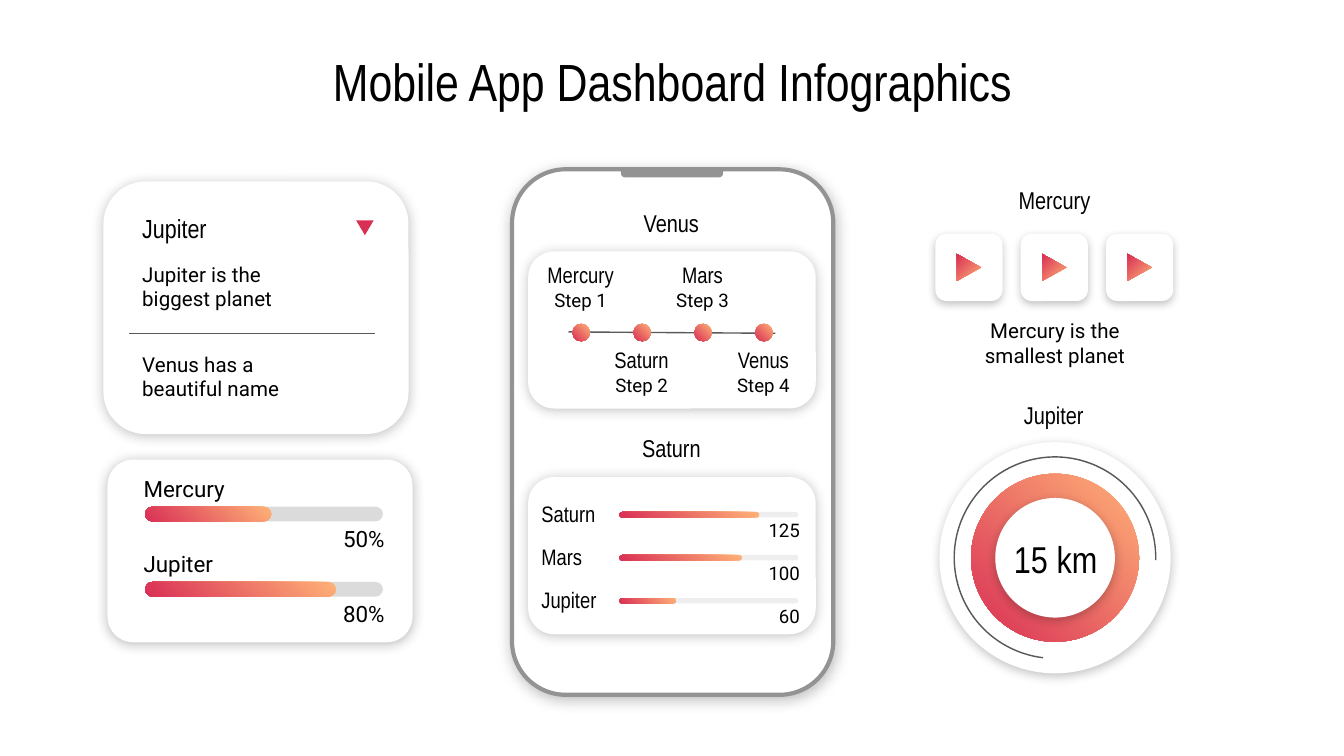
from lxml import etree
from pptx import Presentation
from pptx.dml.color import RGBColor
from pptx.enum.shapes import MSO_CONNECTOR, MSO_SHAPE
from pptx.enum.text import MSO_ANCHOR, MSO_AUTO_SIZE, PP_ALIGN
from pptx.oxml import parse_xml
from pptx.oxml.ns import qn
from pptx.util import Inches, Pt

ROUND, OVAL = MSO_SHAPE.ROUNDED_RECTANGLE, MSO_SHAPE.OVAL
WEDGE, ARC = MSO_SHAPE.ISOSCELES_TRIANGLE, MSO_SHAPE.BLOCK_ARC
NOTCH = MSO_SHAPE.ROUND_2_SAME_RECTANGLE
STRAIGHT = MSO_CONNECTOR.STRAIGHT
LEFT, MID, RIGHT = PP_ALIGN.LEFT, PP_ALIGN.CENTER, PP_ALIGN.RIGHT
TOP, MIDDLE = MSO_ANCHOR.TOP, MSO_ANCHOR.MIDDLE
NO_FIT = MSO_AUTO_SIZE.NONE

HEAD, BODY = "Arial Narrow", "Roboto"
WHITE, BLACK, GREY, DARK = "FFFFFF", "000000", "939393", "595959"
PEACH, RED = "FFB278", "D92F55"
BLEND = (PEACH, RED)
SOFT = (24, 6.8, 0.8)
SHADOW = (
    '<a:effectLst xmlns:a="http://schemas.openxmlformats.org/drawingml/2006/main">'
    '<a:outerShdw blurRad="{}" dist="{}" dir="5400000" algn="bl" rotWithShape="0">'
    '<a:srgbClr val="000000"><a:alpha val="{}"/></a:srgbClr>'
    '</a:outerShdw></a:effectLst>'
)


def color(code):
    return RGBColor.from_string(code)


def paint(fill, tone):
    """Fill with one hex colour, or with a diagonal blend of two."""
    if isinstance(tone, str):
        fill.solid()
        fill.fore_color.rgb = color(tone)
        return
    fill.gradient()
    fill.gradient_angle = 225
    for stop, code in zip(fill.gradient_stops, tone):
        stop.color.rgb = color(code)


def cast(shape, alpha, blur, drop):
    """Give the shape a shadow that falls straight down."""
    props = shape._element.spPr
    props.remove(props.find(qn("a:effectLst")))
    props.append(parse_xml(SHADOW.format(Pt(blur), Pt(drop), alpha * 1000)))


def draw(slide, kind, box, tone, adj=(), turn=0, shade=None, edge=None):
    shape = slide.shapes.add_shape(kind, *map(Inches, box))
    for i, value in enumerate(adj):
        shape.adjustments[i] = value
    shape.rotation = turn
    shape.shadow.inherit = False
    paint(shape.fill, tone)
    if edge:
        shape.line.color.rgb = color(edge)
        shape.line.width = Pt(2.25)
    else:
        shape.line.fill.background()
    if shade:
        cast(shape, *shade)


def rule(slide, x1, y1, x2, y2):
    line = slide.shapes.add_connector(STRAIGHT, *map(Inches, (x1, y1, x2, y2)))
    line.line.color.rgb = color(DARK)
    line.line.width = Pt(0.75)
    etree.SubElement(line._element.spPr, qn("a:effectLst"))


def style(frame, text, size=11, font=BODY, align=MID, anchor=MIDDLE, space=None):
    frame.word_wrap = True
    frame.auto_size = NO_FIT
    frame.vertical_anchor = anchor
    frame.margin_left = frame.margin_right = Inches(0.1)
    frame.margin_top = frame.margin_bottom = Inches(0.1)
    par = frame.paragraphs[0]
    par.alignment = align
    par.line_spacing = space
    run = par.add_run()
    run.text = text
    run.font.size = Pt(size)
    run.font.name = font
    run.font.color.rgb = color(BLACK)


def write(slide, box, text, **look):
    style(slide.shapes.add_textbox(*map(Inches, box)).text_frame, text, **look)


def bar(slide, x, y, w, h, done, track):
    draw(slide, ROUND, (x, y, w, h), track, (0.5,))
    draw(slide, ROUND, (x, y, done, h), BLEND, (0.5,))


def title(slide, x, y, w, h):
    shape = slide.shapes.title
    shape.left, shape.top, shape.width, shape.height = map(Inches, (x, y, w, h))
    style(shape.text_frame, "Mobile App Dashboard Infographics",
          size=28, font=HEAD, anchor=TOP, space=0.8)


def facts(slide, x, y, w, h):
    draw(slide, ROUND, (x, y, w, h), WHITE, (0.167,), shade=SOFT)
    draw(slide, WEDGE, (x + 1.88, y + 0.29, 0.13, 0.11), RED, turn=180)
    rule(slide, x + 0.19, y + 1.13, x + 2.02, y + 1.13)
    write(slide, (x + 0.19, y + 0.19, 1.28, 0.31), "Jupiter",
          size=14, font=HEAD, align=LEFT)
    for drop, text in ((0.54, "Jupiter is the biggest planet"),
                       (1.21, "Venus has a beautiful name")):
        write(slide, (x + 0.19, y + drop, 1.28, 0.48), text, align=LEFT)


def shares(slide, x, y, w, h):
    draw(slide, ROUND, (x, y, w, h), WHITE, (0.142,), shade=(27, 6.8, 0.8))
    rows = (("Mercury", "50%", 0.94), ("Jupiter", "80%", 1.42))
    for i, (name, share, done) in enumerate(rows):
        top = y + 0.02 + i * 0.56
        bar(slide, x + 0.28, top + 0.33, 1.77, 0.11, done, "DBDBDB")
        write(slide, (x + 0.17, top, 0.89, 0.39), name, size=12, align=LEFT)
        write(slide, (x + 1.57, top + 0.37, 0.59, 0.39), share, size=12, align=RIGHT)


def steps(slide, x, y, w, h):
    draw(slide, ROUND, (x, y, w, h), WHITE, (0.167,), shade=SOFT)
    rule(slide, x + 0.3, y + 0.6, x + 1.84, y + 0.61)
    wide = 0.78
    for i, name in enumerate(("Mercury", "Saturn", "Mars", "Venus")):
        left = x + i * (w - wide) / 3
        top = y + (0.67 if i % 2 else 0.04)
        draw(slide, OVAL, (left + 0.33, y + 0.54, 0.13, 0.13), BLEND)
        write(slide, (left, top, wide, 0.27), name, size=12, font=HEAD)
        write(slide, (left, top + 0.19, wide, 0.27), f"Step {i + 1}", size=10)


def scores(slide, x, y, w, h):
    draw(slide, ROUND, (x, y, w, h), WHITE, (0.167,), shade=SOFT)
    rows = (("Saturn", "125", 1.04), ("Mars", "100", 0.91), ("Jupiter", "60", 0.42))
    for i, (name, score, done) in enumerate(rows):
        top = y + 0.14 + i * 0.32
        bar(slide, x + 0.68, top + 0.12, 1.33, 0.04, done, "EEEEEE")
        write(slide, (x, top, 0.63, 0.27), name, size=12, font=HEAD, align=LEFT)
        write(slide, (x + 1.62, top + 0.12, 0.5, 0.27), score, size=10, align=RIGHT)


def phone(slide, x, y, w, h):
    draw(slide, ROUND, (x, y, w, h), WHITE, (0.167,),
         shade=(26, 7.9, 1.5), edge=GREY)
    draw(slide, NOTCH, (x + 0.81, y, 0.76, 0.06), GREY, (0.5, 0), turn=180)
    for drop, name, panel in ((0.61, "Venus", steps), (2.29, "Saturn", scores)):
        write(slide, (x + 0.52, y + drop - 0.35, 1.33, 0.27), name,
              size=13, font=HEAD)
        panel(slide, x + 0.12, y + drop, w - 0.25, 1.17)


def clips(slide, x, y, w):
    mid = x + w / 2
    write(slide, (mid - 0.39, y, 0.78, 0.27), "Mercury", size=13, font=HEAD)
    side = 0.5
    for i in range(3):
        left = x + i * (w - side) / 2
        draw(slide, ROUND, (left, y + 0.39, side, side), WHITE, (0.167,),
             shade=(24, 4.5, 1.5))
        draw(slide, WEDGE, (left + 0.15, y + 0.55, 0.2, 0.18), BLEND, turn=90)
    write(slide, (mid - 0.66, y + 0.96, 1.33, 0.48), "Mercury is the smallest planet")


def dial(slide, x, y, size):
    """Draw the dial, its rings sharing one centre, with its name above."""
    mid, deep = x + size / 2, y + size / 2

    def ring(kind, wide, tone, **look):
        box = (mid - wide / 2, deep - wide / 2, wide, wide)
        draw(slide, kind, box, tone, **look)

    shade = (24, 5.6, 1.5)
    ring(OVAL, size, WHITE, shade=shade)
    ring(OVAL, 1.25, BLEND)
    ring(OVAL, 0.89, WHITE, shade=shade)
    ring(ARC, 1.51, DARK, adj=(58.061, 0.834, 0.007))
    write(slide, (mid - 0.55, deep - 0.22, 1.11, 0.45), "15 km", size=20, font=HEAD)
    write(slide, (mid - 0.4, y - 0.34, 0.78, 0.27), "Jupiter", size=13, font=HEAD)


def main():
    deck = Presentation()
    deck.slide_width, deck.slide_height = Inches(10), Inches(10 * 9 / 16)
    slide = deck.slides.add_slide(deck.slide_layouts[5])
    title(slide, 0.79, 0.36, 8.42, 0.63)
    facts(slide, 0.77, 1.35, 2.27, 1.88)
    shares(slide, 0.8, 3.42, 2.27, 1.36)
    phone(slide, 3.81, 1.26, 2.39, 3.91)
    clips(slide, 6.96, 1.35, 1.77)
    dial(slide, 6.99, 3.29, 1.72)
    deck.save("out.pptx")


if __name__ == "__main__":
    main()
